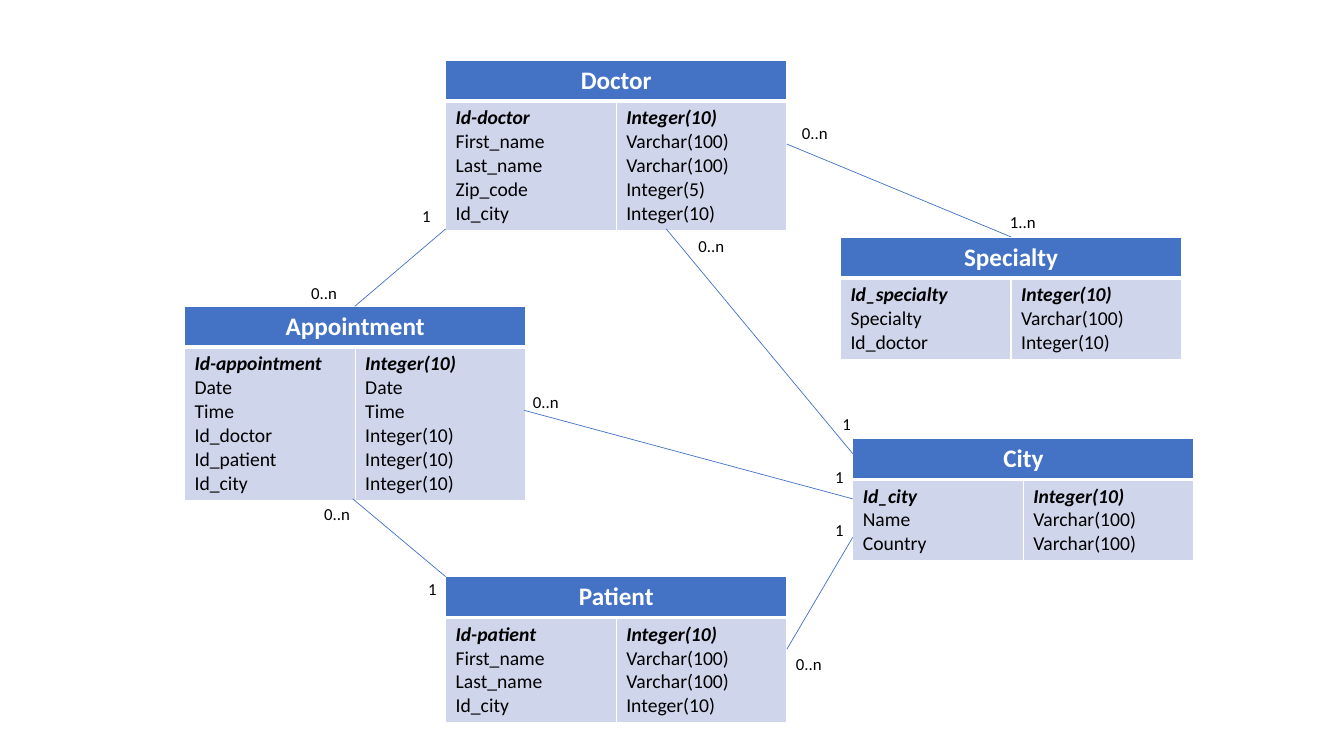
from lxml import etree
from pptx import Presentation
from pptx.dml.color import RGBColor
from pptx.enum import shapes, text
from pptx.oxml import ns
from pptx.util import Cm, Pt

BLUE = RGBColor(0x44, 0x72, 0xC4)
PALE_BLUE = RGBColor(0xCF, 0xD5, 0xEA)
WHITE = RGBColor(0xFF, 0xFF, 0xFF)
BLACK = RGBColor(0, 0, 0)
FONT = "Calibri"

# Entity boxes: sizes in cm
ENTITY_WIDTH = 8.6
HEADER_HEIGHT = 1.03
LINE_HEIGHT = 0.6
CELL_PADDING = 0.25
LABEL_HEIGHT = 0.76

# Name, (left, top), fields with their types; the first field is the key
ENTITIES = [
    ("Doctor", (11.23, 1.52), [
        ("Id-doctor", "Integer(10)"), ("First_name", "Varchar(100)"),
        ("Last_name", "Varchar(100)"), ("Zip_code", "Integer(5)"),
        ("Id_city", "Integer(10)")]),
    ("Specialty", (21.18, 5.97), [
        ("Id_specialty", "Integer(10)"), ("Specialty", "Varchar(100)"),
        ("Id_doctor", "Integer(10)")]),
    ("Patient", (11.23, 14.53), [
        ("Id-patient", "Integer(10)"), ("First_name", "Varchar(100)"),
        ("Last_name", "Varchar(100)"), ("Id_city", "Integer(10)")]),
    ("Appointment", (4.65, 7.72), [
        ("Id-appointment", "Integer(10)"), ("Date", "Date"), ("Time", "Time"),
        ("Id_doctor", "Integer(10)"), ("Id_patient", "Integer(10)"),
        ("Id_city", "Integer(10)")]),
    ("City", (21.49, 11.05), [
        ("Id_city", "Integer(10)"), ("Name", "Varchar(100)"),
        ("Country", "Varchar(100)")]),
]

# Start, end, then a label (text, left, top, width) for each end
RELATIONS = [
    ((11.23, 5.77), (8.94, 7.72),
     ("1", 10.39, 5.05, 0.84), ("0..n", 7.59, 7.01, 1.45)),
    ((8.89, 12.57), (11.23, 14.53),
     ("0..n", 7.92, 12.57, 1.45), ("1", 10.54, 14.45, 0.84)),
    ((19.83, 3.63), (25.48, 5.97),
     ("0..n", 19.96, 2.97, 1.85), ("1..n", 25.2, 5.21, 1.85)),
    ((16.79, 5.77), (21.49, 11.43),
     ("0..n", 17.35, 5.82, 1.85), ("1", 20.98, 10.31, 0.84)),
    ((13.21, 10.34), (21.49, 12.57),
     ("0..n", 13.18, 9.75, 1.85), ("1", 20.8, 11.63, 0.84)),
    ((21.49, 13.54), (19.83, 16.36),
     ("1", 20.8, 12.98, 0.84), ("0..n", 19.81, 16.36, 1.85)),
]


def write(paragraph, content, size, color=BLACK, bold=False, italic=False,
          align=text.PP_ALIGN.LEFT):
    paragraph.alignment = align
    run = paragraph.add_run()
    run.text = content
    font = run.font
    font.name, font.size, font.bold, font.italic = FONT, Pt(size), bold, italic
    font.color.rgb = color


def format_cell(cell, fill, bottom_width=1):
    """Draw white borders, then fill the cell."""
    properties = cell._tc.get_or_add_tcPr()
    for side, width in zip("LRTB", (1, 1, 1, bottom_width)):
        border = etree.SubElement(properties, ns.qn(f"a:ln{side}"), w=str(Pt(width)))
        solid = etree.SubElement(border, ns.qn("a:solidFill"))
        etree.SubElement(solid, ns.qn("a:srgbClr"), val=str(WHITE))
    cell.fill.solid()
    cell.fill.fore_color.rgb = fill
    cell.vertical_anchor = text.MSO_ANCHOR.MIDDLE


def add_entity(slide, name, position, fields):
    left, top = position
    body_height = LINE_HEIGHT * len(fields) + CELL_PADDING
    table = slide.shapes.add_table(
        2, 2, Cm(left), Cm(top), Cm(ENTITY_WIDTH), Cm(HEADER_HEIGHT + body_height)).table
    table.horz_banding = False
    table.rows[0].height = Cm(HEADER_HEIGHT)
    table.rows[1].height = Cm(body_height)

    # Header across both columns
    header = table.cell(0, 0)
    header.merge(table.cell(0, 1))
    for column in range(2):
        format_cell(table.cell(0, column), BLUE, bottom_width=3)
    write(header.text_frame.paragraphs[0], name, 18, color=WHITE, bold=True,
          align=text.PP_ALIGN.CENTER)

    # Field names on the left, types on the right
    for column, lines in enumerate(zip(*fields)):
        cell = table.cell(1, column)
        format_cell(cell, PALE_BLUE)
        frame = cell.text_frame
        for index, line in enumerate(lines):
            paragraph = frame.add_paragraph() if index else frame.paragraphs[0]
            write(paragraph, line, 14, bold=index == 0, italic=index == 0)


def add_relation(slide, start, end):
    connector = slide.shapes.add_connector(
        shapes.MSO_CONNECTOR.STRAIGHT, *(Cm(value) for value in start + end))
    connector.line.color.rgb = BLUE
    connector.line.width = Pt(0.5)
    etree.SubElement(connector._element.spPr, ns.qn("a:effectLst"))


def add_label(slide, content, left, top, width):
    box = slide.shapes.add_textbox(Cm(left), Cm(top), Cm(width), Cm(LABEL_HEIGHT))
    frame = box.text_frame
    frame.word_wrap = True
    frame.auto_size = text.MSO_AUTO_SIZE.SHAPE_TO_FIT_TEXT
    write(frame.paragraphs[0], content, 12)


def build_diagram(slide):
    for entity in ENTITIES:
        add_entity(slide, *entity)
    for start, end, *labels in RELATIONS:
        add_relation(slide, start, end)
        for label in labels:
            add_label(slide, *label)


presentation = Presentation()
presentation.slide_width = Cm(33.87)
presentation.slide_height = Cm(19.05)
build_diagram(presentation.slides.add_slide(presentation.slide_layouts[6]))
presentation.save("out.pptx")
